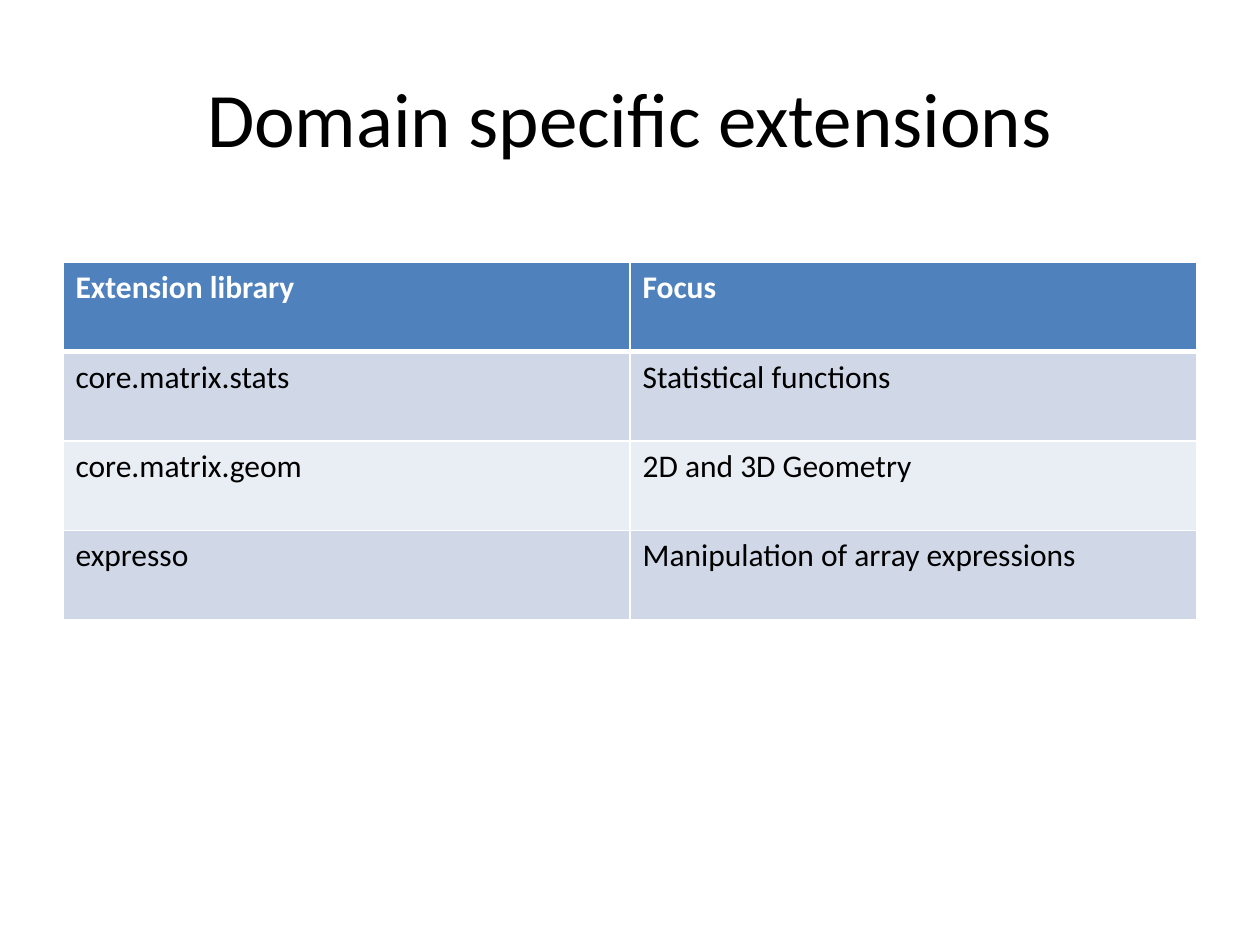
import pptx
import pptx.dml.color
import pptx.enum.text
import pptx.oxml.ns
import pptx.util
from lxml import etree
from pptx.util import Cm

FONT = "Calibri"
WHITE, BLACK = "FFFFFF", "000000"
HEADER_FILL = "4F81BD"
BAND_FILLS = ("D0D8E8", "E9EDF4")
LEFT, WIDTH = Cm(1.27), Cm(22.86)
ROWS = [
    ("Extension library", "Focus"),
    ("core.matrix.stats", "Statistical functions"),
    ("core.matrix.geom", "2D and 3D Geometry"),
    ("expresso", "Manipulation of array expressions"),
]


def color(value):
    """Turn a hex string into a colour."""
    return pptx.dml.color.RGBColor.from_string(value)


def write_text(text_frame, text, size, font_color, bold=False):
    """Fill a text frame with one formatted paragraph."""
    text_frame.text = text
    font = text_frame.paragraphs[0].runs[0].font
    font.name = FONT
    font.size = pptx.util.Pt(size)
    font.bold = bold
    font.color.rgb = color(font_color)


def add_title(slide, text):
    """Add the centred slide title."""
    shape = slide.shapes.add_textbox(LEFT, Cm(0.76), WIDTH, Cm(3.18))
    text_frame = shape.text_frame
    text_frame.word_wrap = True
    text_frame.vertical_anchor = pptx.enum.text.MSO_ANCHOR.MIDDLE
    write_text(text_frame, text, 44, BLACK)
    text_frame.paragraphs[0].alignment = pptx.enum.text.PP_ALIGN.CENTER


def set_borders(cell, top, bottom):
    """Draw white cell borders; top and bottom widths are in points."""
    properties = cell._tc.get_or_add_tcPr()
    qn = pptx.oxml.ns.qn
    for tag, width in (("lnL", 1), ("lnR", 1), ("lnT", top), ("lnB", bottom)):
        line = etree.SubElement(properties, qn("a:" + tag), w=str(pptx.util.Pt(width)))
        fill = etree.SubElement(line, qn("a:solidFill"))
        etree.SubElement(fill, qn("a:srgbClr"), val=WHITE)


def add_banded_table(slide, rows):
    """Add a table with a header row and alternating body fills."""
    row_height = Cm(1.8)
    table = slide.shapes.add_table(
        len(rows), len(rows[0]), LEFT, Cm(5.29), WIDTH, row_height * len(rows)
    ).table
    for row_index, texts in enumerate(rows):
        header = row_index == 0
        fill = HEADER_FILL if header else BAND_FILLS[(row_index - 1) % 2]
        for column_index, text in enumerate(texts):
            cell = table.cell(row_index, column_index)
            write_text(cell.text_frame, text, 18, WHITE if header else BLACK, header)
            set_borders(cell, top=3 if row_index == 1 else 1, bottom=3 if header else 1)
            cell.fill.solid()
            cell.fill.fore_color.rgb = color(fill)


def main():
    """Build and save the slide."""
    presentation = pptx.Presentation()
    presentation.slide_width, presentation.slide_height = Cm(25.4), Cm(19.05)
    slide = presentation.slides.add_slide(presentation.slide_layouts[6])
    add_title(slide, "Domain specific extensions")
    add_banded_table(slide, ROWS)
    presentation.save("out.pptx")


main()
